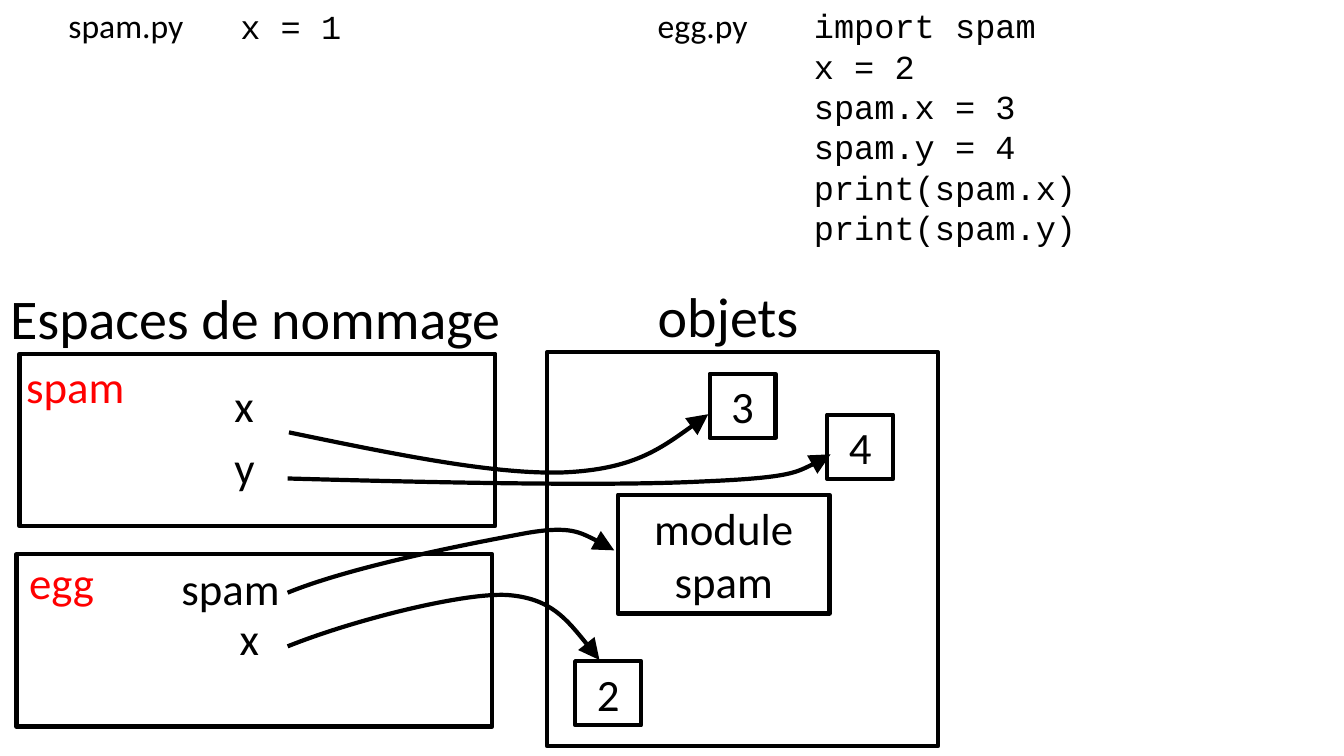
"""Build a slide on Python namespaces: two modules whose names point to objects."""
from pptx import Presentation
from pptx.dml.color import RGBColor
from pptx.enum.shapes import MSO_SHAPE as Preset
from pptx.enum.text import MSO_ANCHOR as Anchor, MSO_AUTO_SIZE as AutoSize, PP_ALIGN as Align
from pptx.oxml import parse_xml
from pptx.oxml.ns import nsdecls, qn
from pptx.util import Inches, Pt

deck = Presentation()
deck.slide_width, deck.slide_height = Inches(13.33), Inches(7.5)
COL, ROW = deck.slide_width / 100, deck.slide_height / 100
BLACK, RED = "000000", "FF0000"
CODE = "Courier New"
slide = deck.slides.add_slide(deck.slide_layouts[5])


def write(text, area, holder=None, size=32, font="Calibri", color=BLACK,
          align=Align.LEFT, anchor=Anchor.TOP):
    left, top, width, height = area
    place = [round(left * COL), round(top * ROW), round(width * COL), round(height * ROW)]
    holder = holder or slide.shapes.add_textbox(*place)
    holder.left, holder.top, holder.width, holder.height = place
    frame = holder.text_frame
    frame.text = text
    frame.word_wrap = True
    frame.auto_size = AutoSize.SHAPE_TO_FIT_TEXT if text else AutoSize.NONE
    frame.vertical_anchor = anchor
    for paragraph in frame.paragraphs:
        paragraph.alignment = align
        for run in paragraph.runs:
            run.font.size, run.font.name = Pt(size), font
            run.font.color.rgb = RGBColor.from_string(color)


def outline(figure):
    figure.shadow.inherit = False
    figure.fill.background()
    figure.line.width = Pt(3)
    figure.line.color.rgb = RGBColor.from_string(BLACK)
    return figure


write("Espaces de nommage", (0, 36.8, 38.6, 10.3), slide.shapes.title, size=40)
write("objets", (48.2, 36.6, 28.4, 10.3), size=40)

spam_code = "x = 1"
egg_code = "import spam\nx = 2\nspam.x = 3\nspam.y = 4\nprint(spam.x)\nprint(spam.y)"
write("spam.py", (4.35, 0, 10.6, 6.7), size=24)
write(spam_code, (17.15, 0.1, 22.8, 6.7), size=24, font=CODE)
write("egg.py", (48.2, 0, 10.6, 6.7), size=24)
write(egg_code, (59.82, 0.03, 22.8, 39.1), size=24, font=CODE)

boxes = [
    ("", (40.7, 46.6, 29.1, 52.1)),
    ("", (1.45, 46.8, 35.4, 22.8)),
    ("", (1.23, 73.3, 35.4, 22.8)),
    ("3", (52.8, 49.45, 4.9, 8.5)),
    ("4", (61.55, 54.85, 4.9, 8.5)),
    ("2", (42.8, 87.45, 4.9, 8.5)),
    ("module spam", (45.97, 65.45, 15.75, 15.7)),
]
for value, area in boxes:
    box = outline(slide.shapes.add_shape(Preset.RECTANGLE, 0, 0, 0, 0))
    write(value, area, box, align=Align.CENTER, anchor=Anchor.MIDDLE)

names = [
    ("spam", 1.2, 46.8, 15.8, RED),
    ("x", 16.7, 49.3, 4.4, BLACK),
    ("y", 16.7, 57.5, 4.4, BLACK),
    ("egg", 1.43, 72.65, 15.8, RED),
    ("spam", 12.75, 73.55, 8.9, BLACK),
    ("x", 17.1, 80.1, 4.4, BLACK),
]
for name, left, top, width, color in names:
    write(name, (left, top, width, 8.5), color=color)

references = [
    [(21.5, 57.2), (29.1, 60), (36.7, 62.8), (41.9, 62.5),
     (47.1, 62.1), (49.9, 58.5), (52.7, 54.8)],
    [(21.4, 63.3), (33.5, 63.9), (45.5, 64.3), (52.2, 63.7),
     (59, 63.2), (60.4, 61.7), (61.8, 60.1)],
    [(21.4, 78.4), (26.5, 74.7), (35.9, 71.6), (39.2, 70.5),
     (42.5, 69.5), (44.1, 71.1), (45.7, 72.8)],
    [(21.4, 85.5), (26.3, 82), (34.4, 78.4), (37.7, 78.7),
     (41, 79.1), (42.8, 83.2), (44.6, 87.3)],
]
for knots in references:
    track = [(round(x * COL), round(y * ROW)) for x, y in knots]
    builder = slide.shapes.build_freeform(*track[0])
    builder.add_line_segments(track[1:], close=False)
    arrow = outline(builder.convert_to_shape())
    sides = list(arrow.element.iter(qn("a:lnTo")))
    for first in (0, 3):
        bend = parse_xml(f'<a:cubicBezTo {nsdecls("a")}/>')
        sides[first].addprevious(bend)
        for side in sides[first:first + 3]:
            bend.append(side[0])
            side.getparent().remove(side)
    arrow.line._get_or_add_ln().append(
        parse_xml(f'<a:tailEnd {nsdecls("a")} type="triangle" w="lg" len="lg"/>'))

deck.save("out.pptx")
